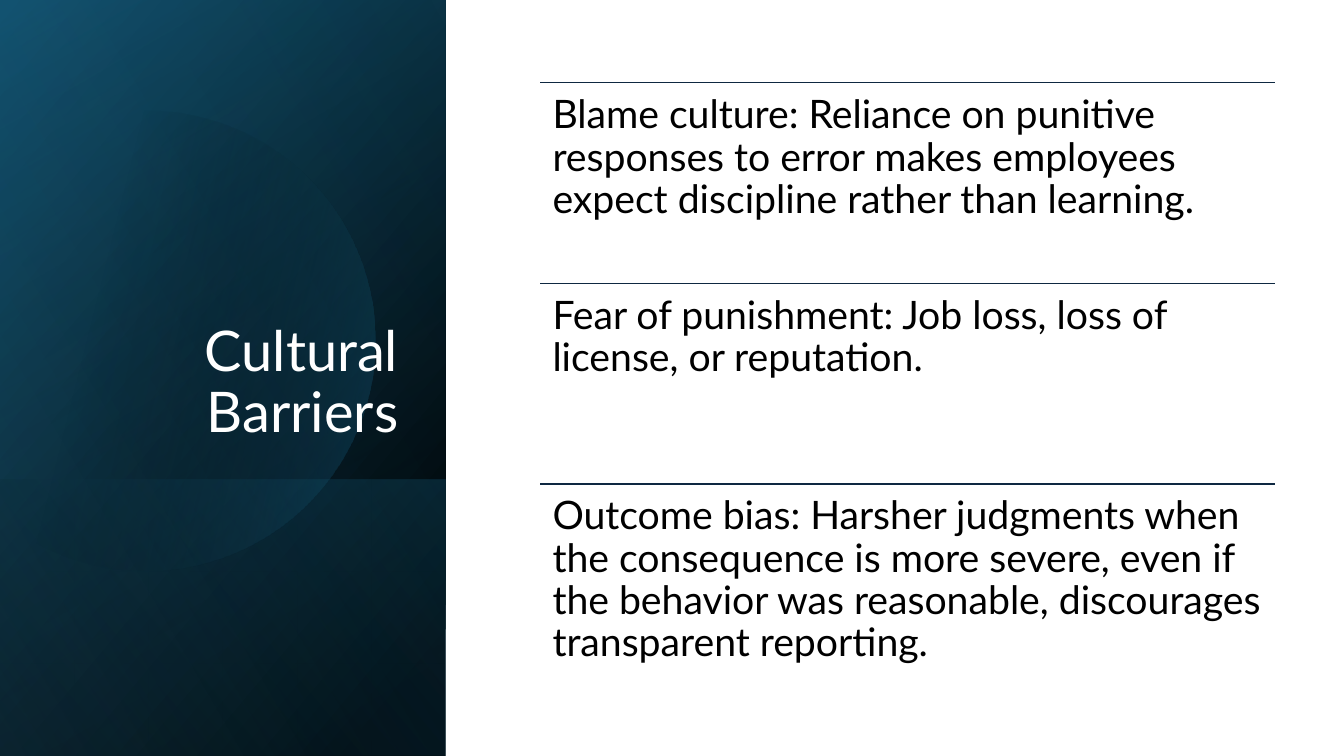
"""Build the Cultural Barriers slide: a dark title panel beside three ruled statements."""
from math import acos, cos, sin, pi

from pptx import Presentation, oxml
from pptx import util as u
from pptx.dml.color import RGBColor
from pptx.enum import shapes, text
from pptx.oxml import ns

COLORS = {"black": "000000", "white": "FFFFFF", "deep": "104862",
          "teal": "156082", "sky": "46B1E1", "navy": "0E2841"}
FONT = "Lato"
BARRIERS = [
    "Blame culture: Reliance on punitive responses to error makes employees "
    "expect discipline rather than learning.",
    "Fear of punishment: Job loss, loss of license, or reputation.",
    "Outcome bias: Harsher judgments when the consequence is more severe, even if "
    "the behavior was reasonable, discourages transparent reporting.",
]


def paint_gradient(shape, stops, angle):
    """Fill a shape with (position, colour, opacity) stops, all in percent."""
    shape.shadow.inherit = False
    shape.line.fill.background()
    shape.fill.background()
    stop_xml = "".join(
        f'<a:gs pos="{position * 1000}"><a:srgbClr val="{COLORS[color]}">'
        f'<a:alpha val="{opacity * 1000}"/></a:srgbClr></a:gs>'
        for position, color, opacity in stops)
    gradient = oxml.parse_xml(
        f'<a:gradFill {ns.nsdecls("a")} rotWithShape="1"><a:gsLst>{stop_xml}</a:gsLst>'
        f'<a:lin ang="{angle * 60000}" scaled="0"/></a:gradFill>')
    properties = shape._element.spPr
    properties.replace(properties.find(ns.qn("a:noFill")), gradient)


def add_shade(slide, box, stops, angle):
    """Cover a box with a mirrored rectangle turned by a quarter."""
    left, top, width, height = box
    shift = (width - height) / 2
    shade = slide.shapes.add_shape(
        shapes.MSO_SHAPE.RECTANGLE, u.Inches(left + shift), u.Inches(top - shift),
        u.Inches(height), u.Inches(width))
    shade.rotation = 90
    shade._element.spPr.xfrm.set("flipH", "1")
    paint_gradient(shade, stops, angle)


def add_disc(slide, left, center_x, center_y, radius):
    """Add a glowing disc cut off straight at the left edge."""
    reach = acos((left - center_x) / radius)
    steps = 120
    angles = [reach * (2 * step / steps - 1) for step in range(steps + 1)]
    points = [(u.Inches(center_x + radius * cos(angle)),
               u.Inches(center_y + radius * sin(angle))) for angle in angles]
    outline = slide.shapes.build_freeform(*points[0])
    outline.add_line_segments(points[1:], close=True)
    paint_gradient(outline.convert_to_shape(), [(29, "black", 0), (100, "teal", 43)], 14)


def add_run(paragraph, words, size, color):
    """Add one formatted run to a paragraph."""
    run = paragraph.add_run()
    run.text = words
    run.font.name = FONT
    run.font.size = u.Pt(size)
    run.font.color.rgb = RGBColor.from_string(COLORS[color])


def add_title_panel(slide, box):
    """Layer the shaded panel and set the title on it."""
    left, top, width, height = box
    foot = 2.74
    add_shade(slide, box, [(8, "black", 100), (100, "deep", 100)], 50)
    add_shade(slide, box, [(0, "black", 0), (99, "teal", 46)], 30)
    add_shade(slide, (left, top + height - foot, width, foot),
              [(2, "teal", 29), (100, "black", 30)], 130)
    add_disc(slide, left, left + 1.44, top + 3.38, 2.28)
    add_shade(slide, box, [(0, "black", 0), (99, "sky", 11)], 120)

    title = slide.shapes.title
    title.left, title.top = u.Inches(left + 0.64), u.Inches(top + 1.84)
    title.width, title.height = u.Inches(3.41), u.Inches(2.62)
    frame = title.text_frame
    frame.word_wrap = True
    frame.auto_size = text.MSO_AUTO_SIZE.NONE
    frame.vertical_anchor = text.MSO_ANCHOR.BOTTOM
    heading = frame.paragraphs[0]
    heading.alignment = text.PP_ALIGN.RIGHT
    heading.line_spacing = 0.9
    add_run(heading, "Cultural Barriers", 40, "white")
    slide.shapes._spTree.append(title._element)


def add_barriers(slide, box):
    """Stack the statements in equal rows, each under a rule."""
    left, top, width, height = box
    row_height = height / len(BARRIERS)
    for index, barrier in enumerate(BARRIERS):
        row_top = u.Inches(top + index * row_height)
        rule = slide.shapes.add_connector(
            shapes.MSO_CONNECTOR.STRAIGHT, u.Inches(left), row_top,
            u.Inches(left + width), row_top)
        rule.line.color.rgb = RGBColor.from_string(COLORS["navy"])
        rule.line.width = u.Pt(1)
        rule._element.spPr.append(oxml.parse_xml(f'<a:effectLst {ns.nsdecls("a")}/>'))

        statement = slide.shapes.add_textbox(
            u.Inches(left), row_top, u.Inches(width), u.Inches(row_height))
        frame = statement.text_frame
        frame.word_wrap = True
        frame.margin_left = frame.margin_right = u.Inches(0.12)
        frame.margin_top = frame.margin_bottom = u.Inches(0.12)
        paragraph = frame.paragraphs[0]
        paragraph.line_spacing = 0.9
        add_run(paragraph, barrier, 28, "black")


def main():
    """Assemble and save the slide."""
    deck = Presentation()
    deck.slide_width, deck.slide_height = u.Inches(13.33), u.Inches(7.5)
    slide = deck.slides.add_slide(deck.slide_layouts[5])
    slide.background.fill.solid()
    slide.background.fill.fore_color.rgb = RGBColor.from_string(COLORS["white"])
    add_title_panel(slide, (0, 0, 4.42, 7.5))
    add_barriers(slide, (5.36, 0.82, 7.29, 5.97))
    deck.save("out.pptx")


if __name__ == "__main__":
    main()
